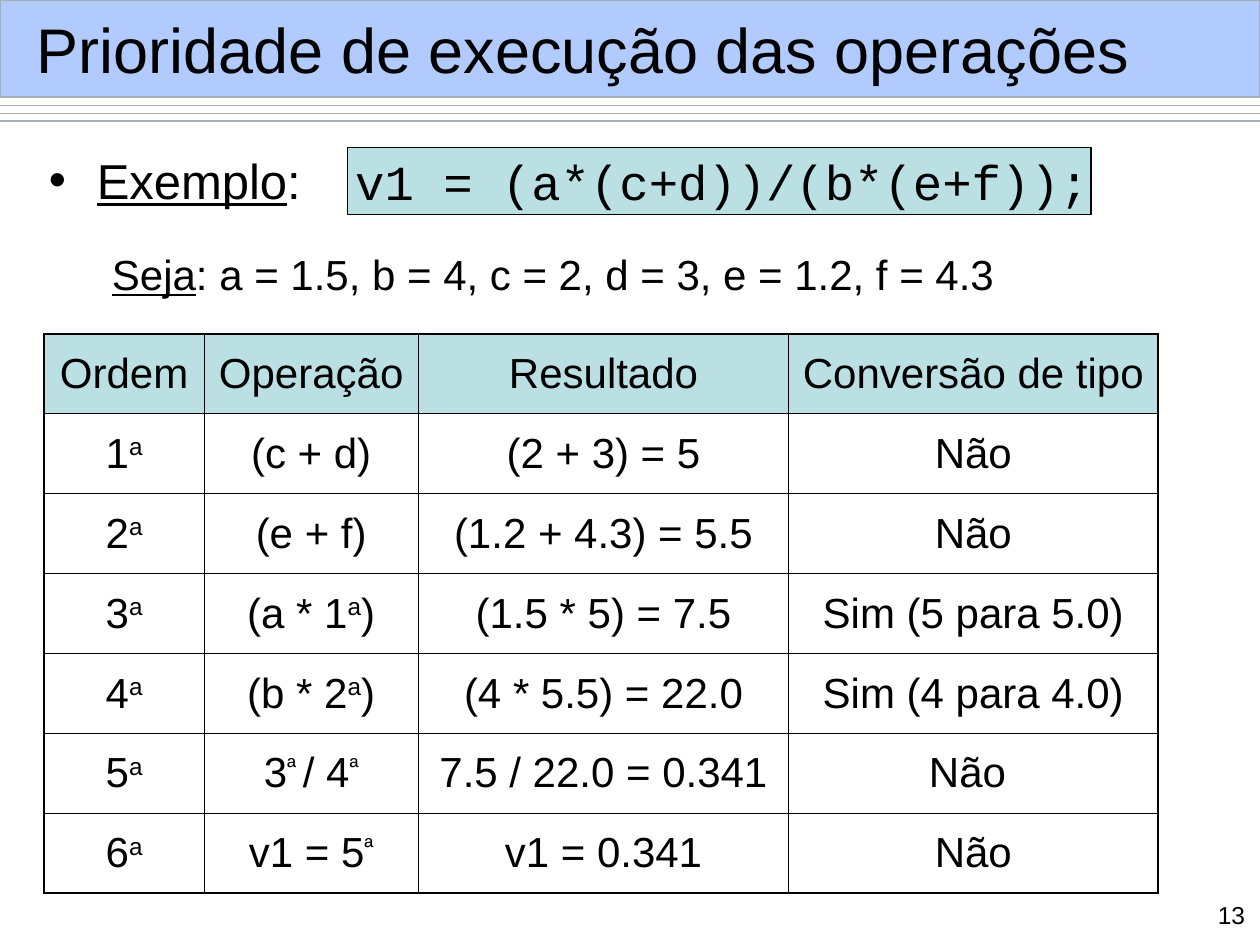
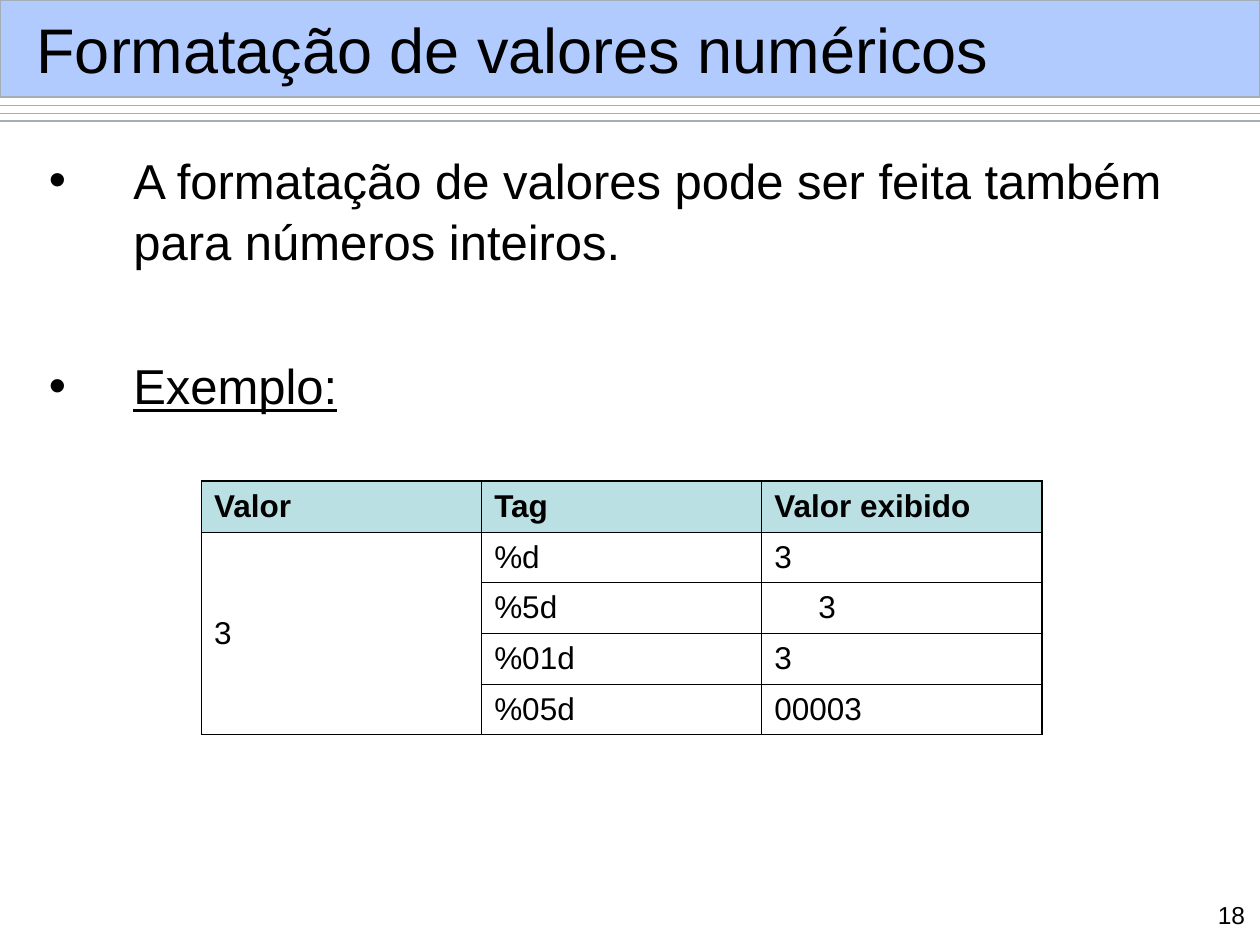
import pptx
import pptx.dml.color
import pptx.enum.shapes
import pptx.enum.text
import pptx.oxml
import pptx.oxml.ns
import pptx.util

Pt = pptx.util.Pt
Inches = pptx.util.Inches
ALIGN = pptx.enum.text.PP_ALIGN
MIDDLE = pptx.enum.text.MSO_ANCHOR.MIDDLE
RECT = pptx.enum.shapes.MSO_SHAPE.RECTANGLE
STRAIGHT = pptx.enum.shapes.MSO_CONNECTOR.STRAIGHT

WIDTH, HEIGHT = Inches(10), Inches(7.5)
BLACK, GREY, BLUE, TEAL = "000000", "A3AEB7", "6699FF", "BBE0E3"
THIN, THICK = 0.45, 1.08

PRIORITIES = [
    ["Ordem", "Operação", "Resultado", "Conversão de tipo"],
    ["1^a", "(c + d)", "(2 + 3) = 5", "Não"],
    ["2^a", "(e + f)", "(1.2 + 4.3) = 5.5", "Não"],
    ["3^a", "(a * 1^a^)", "(1.5 * 5) = 7.5", "Sim (5 para 5.0)"],
    ["4^a", "(b * 2^a^)", "(4 * 5.5) = 22.0", "Sim (4 para 4.0)"],
    ["5^a", "3^ª ^/ 4^ª", "7.5 / 22.0 = 0.341", "Não "],
    ["6^a", "v1 = 5^ª", "v1 = 0.341", "Não"],
]
FORMATS = [
    ["Valor", "Tag", "Valor exibido"],
    ["3", "%d", "3"],
    ["", "%5d", "3"],
    ["", "%01d", "3"],
    ["", "%05d", "00003"],
]


def box(left, top, width, height):
    """Turn percentages of the slide's size into lengths."""
    return [round(share * side / 100) for share, side in
            ((left, WIDTH), (top, HEIGHT), (width, WIDTH), (height, HEIGHT))]


def paint(target, color):
    """Give a fill, line or font a solid colour from a hex string."""
    if hasattr(target, "solid"):
        target.solid()
        target = target.fore_color
    else:
        target = target.color
    target.rgb = pptx.dml.color.RGBColor.from_string(color)


def xml_child(parent, tag, **attributes):
    """Append a drawing element to a parent and return it."""
    child = pptx.oxml.parse_xml(f"<a:{tag} {pptx.oxml.ns.nsdecls('a')}/>")
    for name, value in attributes.items():
        child.set(name, str(value))
    parent.append(child)
    return child


def add_run(p, text, size, font="Arial", underline=None, bold=None):
    """Append a black run to a paragraph."""
    r = p.add_run()
    r.text = text
    r.font.name, r.font.size = font, Pt(size)
    r.font.underline, r.font.bold = underline, bold
    paint(r.font, BLACK)
    return r


def add_raised_text(p, text, size, bold=None):
    """Add runs to a paragraph, raising each second part between carets."""
    for i, part in enumerate(text.split("^")):
        if part:
            r = add_run(p, part, size, bold=bold)
            if i % 2:
                r._r.get_or_add_rPr().set("baseline", "30000")


def add_rect(s, place, fill, line):
    """Add a flat rectangle with a hairline border."""
    sp = s.shapes.add_shape(RECT, *place)
    sp.shadow.inherit = False
    paint(sp.fill, fill)
    paint(sp.line, line)
    sp.line.width = Pt(0.75)
    return sp


def add_rule(s, top):
    """Add a grey line across the slide."""
    x, y, width, _ = box(0, top, 100, 0)
    line = s.shapes.add_connector(STRAIGHT, x, y, x + width, y)
    paint(line.line, GREY)
    line.line.width = Pt(0.75)
    xml_child(line.element.spPr, "effectLst")
    return line


def add_header(layout, s):
    """Draw the title band and its three rules, and move them to the layout."""
    for ph in list(layout.placeholders):
        if ph.placeholder_format.idx:
            ph.element.getparent().remove(ph.element)
    band = add_rect(s, box(0, 0, 100, 10.27), BLUE, GREY)
    color = band.element.spPr.find(".//" + pptx.oxml.ns.qn("a:srgbClr"))
    xml_child(color, "alpha", val=50000)
    rules = [add_rule(s, 11.2 + 0.8 * i) for i in range(3)]
    for sp in [band, *rules]:
        layout.shapes.element.insert(2, sp.element)


def add_title(s, text):
    """Move and fill the title placeholder."""
    title = s.shapes.title
    title.left, title.top, title.width, title.height = box(1.9, 1.2, 96.4, 7.87)
    tf = title.text_frame
    tf.vertical_anchor = MIDDLE
    tf.auto_size = pptx.enum.text.MSO_AUTO_SIZE.NONE
    tf.paragraphs[0].alignment = ALIGN.LEFT
    add_run(tf.paragraphs[0], text, 36)


def add_text_box(s, place):
    """Add a wrapping text box and return its text frame."""
    tf = s.shapes.add_textbox(*place).text_frame
    tf.word_wrap = True
    return tf


def add_body(s, paragraphs):
    """Add paragraphs of (runs, size, indent, bulleted, space before)."""
    tf = add_text_box(s, box(2.9, 14.93, 94.6, 82.13))
    for i, (runs, size, indent, bulleted, before) in enumerate(paragraphs):
        p = tf.add_paragraph() if i else tf.paragraphs[0]
        pPr = p._p.get_or_add_pPr()
        pPr.set("marL", str(Inches(indent)))
        if bulleted:
            pPr.set("indent", str(-Inches(indent)))
            xml_child(pPr, "buFont", typeface="Arial")
            xml_child(pPr, "buChar", char="•")
        p.line_spacing = 1.05
        if before:
            p.space_before = Pt(before)
        for text, underline in runs:
            add_run(p, text, size, underline=underline)


def add_page_number(s, number):
    """Add the number in the lower right corner."""
    p = add_text_box(s, box(90.7, 94.53, 9.1, 3.47)).paragraphs[0]
    p.alignment = ALIGN.RIGHT
    add_run(p, str(number), 14)


def add_code(s, place, code):
    """Add a tinted box holding one line of code."""
    tf = add_rect(s, place, TEAL, BLACK).text_frame
    tf.word_wrap = False
    tf.vertical_anchor = MIDDLE
    tf.margin_left = Inches(0.06)
    tf.margin_right = tf.margin_top = tf.margin_bottom = 0
    tf.paragraphs[0].alignment = ALIGN.LEFT
    add_run(tf.paragraphs[0], code, 28, "Courier New")


def set_borders(cell, outer):
    """Draw the four borders of a cell, thicker on the table's edge."""
    tcPr = cell._tc.get_or_add_tcPr()
    for side in "LRTB":
        width = THICK if side in outer else THIN
        ln = xml_child(tcPr, "ln" + side, w=Pt(width))
        xml_child(xml_child(ln, "solidFill"), "srgbClr", val=BLACK)


def add_grid(s, place, shares, rows, size, align, bold_header=None):
    """Add a bordered table with a tinted header row and return it."""
    table = s.shapes.add_table(len(rows), len(shares), *place).table
    table.first_row = table.horz_banding = False
    for column, share in zip(table.columns, shares):
        column.width = round(WIDTH * share / 100)
    for y, row in enumerate(rows):
        table.rows[y].height = round(place[3] / len(rows))
        for x, text in enumerate(row):
            cell = table.cell(y, x)
            edges = {"L": x == 0, "R": x == len(row) - 1,
                     "T": y == 0, "B": y == len(rows) - 1}
            set_borders(cell, [side for side in edges if edges[side]])
            if y == 0:
                paint(cell.fill, TEAL)
            else:
                cell.fill.background()
            cell.vertical_anchor = MIDDLE
            p = cell.text_frame.paragraphs[0]
            p.alignment = align
            add_raised_text(p, text, size, bold_header if y == 0 else None)
    return table


def add_priority_slide(s):
    """Fill the slide on the order of operations."""
    add_title(s, "Prioridade de execução das operações")
    add_body(s, [
        ([("Exemplo", True), (":", None)], 28, 0.38, True, 0),
        ([("Seja", True),
          (": a = 1.5, b = 4, c = 2, d = 3, e = 1.2, f = 4.3", None)],
         24, 0.5, False, 21),
    ])
    add_code(s, box(27.6, 15.6, 59, 7.07), "v1 = (a*(c+d))/(b*(e+f));")
    add_grid(s, box(3.5, 35.33, 88.5, 59.2), [12.7, 17, 29.4, 29.3],
             PRIORITIES, 24, ALIGN.CENTER)
    add_page_number(s, 13)


def add_format_slide(s):
    """Fill the slide on number formats."""
    add_title(s, "Formatação de valores numéricos")
    add_body(s, [
        ([("A formatação de valores pode ser feita também para números "
           "inteiros.", None)], 28, 0.67, True, 0),
        ([("Exemplo:", True)], 28, 0.67, True, 47),
    ])
    table = add_grid(s, box(16, 50.93, 66.7, 26.8), [22.23] * 3,
                     FORMATS, 18, ALIGN.LEFT, bold_header=True)
    table.cell(1, 0).merge(table.cell(4, 0))
    set_borders_bottom = table.cell(1, 0)._tc.tcPr.find(pptx.oxml.ns.qn("a:lnB"))
    set_borders_bottom.set("w", str(Pt(THICK)))
    table.cell(2, 2).margin_left = Inches(0.45)
    add_page_number(s, 18)


def main():
    """Build and save both slides."""
    prs = pptx.Presentation()
    prs.slide_width, prs.slide_height = WIDTH, HEIGHT
    layout = prs.slide_layouts[5]
    priority, formats = [prs.slides.add_slide(layout) for _ in range(2)]
    add_header(layout, priority)
    add_priority_slide(priority)
    add_format_slide(formats)
    prs.save("out.pptx")


if __name__ == "__main__":
    main()
